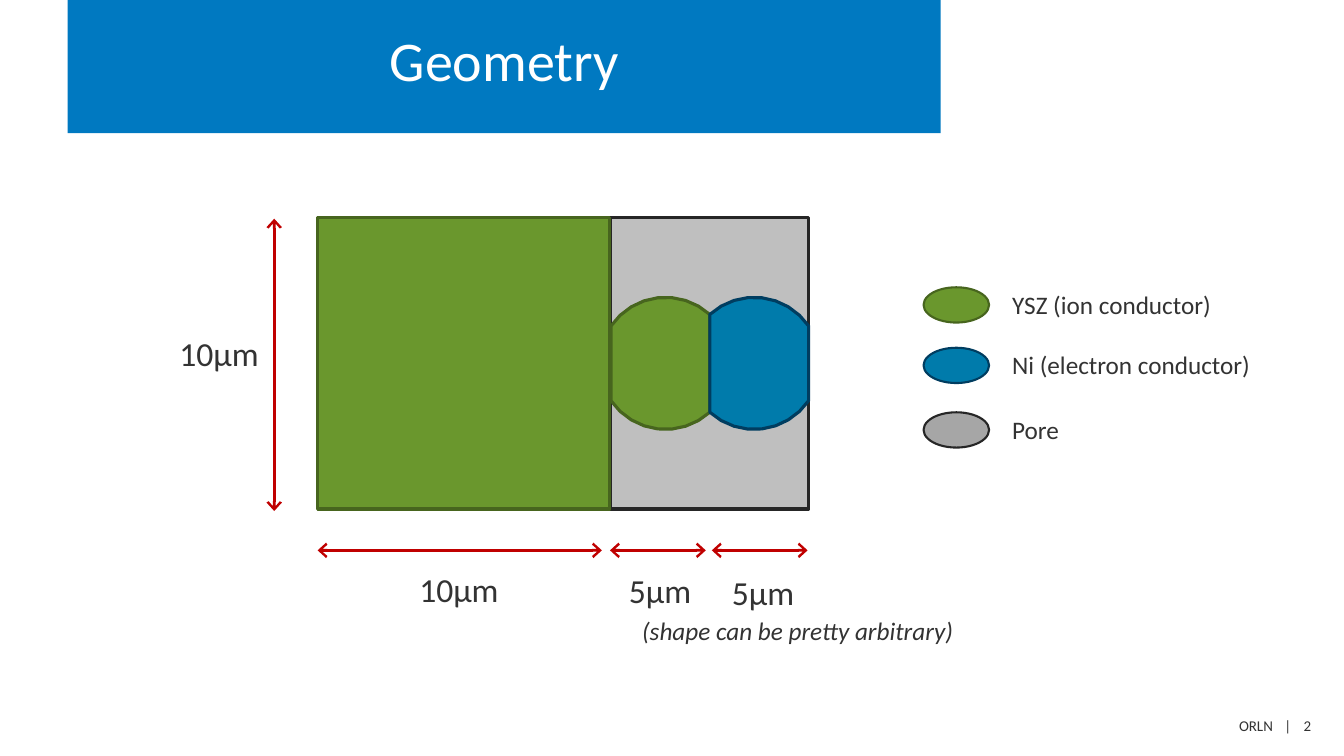
"""Build the Geometry slide: a dimensioned electrode model with its legend."""
from math import acos, cos, sin

from lxml.etree import SubElement
from pptx import Presentation
from pptx.dml.color import RGBColor
from pptx.enum.shapes import MSO_CONNECTOR, MSO_SHAPE
from pptx.enum.text import MSO_ANCHOR, PP_ALIGN
from pptx.oxml.ns import qn
from pptx.util import Inches, Pt

WHITE = RGBColor(0xFF, 0xFF, 0xFF)
TEXT = RGBColor(0x33, 0x33, 0x33)
BANNER = RGBColor(0x00, 0x79, 0xC1)
GREEN = RGBColor(0x6A, 0x97, 0x2D)
DARK_GREEN = RGBColor(0x47, 0x65, 0x1E)
BLUE = RGBColor(0x00, 0x7B, 0xAB)
DARK_BLUE = RGBColor(0x00, 0x3D, 0x60)
LIGHT_GREY = RGBColor(0xBF, 0xBF, 0xBF)
GREY = RGBColor(0xA6, 0xA6, 0xA6)
BLACK = RGBColor(0x26, 0x26, 0x26)
RED = RGBColor(0xC0, 0x00, 0x00)


def paint(shape, fill, outline, weight):
    shape.shadow.inherit = False
    shape.fill.solid()
    shape.fill.fore_color.rgb = fill
    shape.line.color.rgb = outline
    shape.line.width = Pt(weight)


def add_text(words, left, top, width, height, size, italic=False):
    box = page.shapes.add_textbox(Inches(left), Inches(top), Inches(width), Inches(height))
    box.text_frame.word_wrap = True
    para = box.text_frame.paragraphs[0]
    span = para.add_run()
    span.text = words
    span.font.color.rgb = TEXT
    for name, value in {"name": "Calibri", "size": Pt(size), "italic": italic}.items():
        setattr(span.font, name, value)
    return para


deck = Presentation()
deck.slide_width, deck.slide_height = Inches(13.33), Inches(7.5)
page = deck.slides.add_slide(deck.slide_layouts[5])

title = page.shapes.title
placement = {"left": 0.67, "top": 0, "width": 8.66, "height": 1.32}
for name, value in placement.items():
    setattr(title, name, Inches(value))
title.fill.solid()
title.fill.fore_color.rgb = BANNER
title.text_frame.text = "Geometry"
title.text_frame.vertical_anchor = MSO_ANCHOR.MIDDLE
heading = title.text_frame.paragraphs[0]
heading.alignment = PP_ALIGN.CENTER
heading.line_spacing = Pt(37.3)
for name, value in {"name": "Calibri", "size": Pt(40)}.items():
    setattr(heading.runs[0].font, name, value)
heading.runs[0].font.color.rgb = WHITE

for left, width, fill, outline in [
    (6.05, 1.97, LIGHT_GREY, BLACK),
    (3.15, 2.9, GREEN, DARK_GREEN),
]:
    block = page.shapes.add_shape(
        MSO_SHAPE.RECTANGLE, Inches(left), Inches(2.16), Inches(width), Inches(2.89)
    )
    paint(block, fill, outline, 2.25)

radius, middle, steps = 0.655, 3.605, 8
for center, left, right, fill, outline in [
    (6.6, 6.06, 7.04, GREEN, DARK_GREEN),
    (7.48, 7.04, 8.02, BLUE, DARK_BLUE),
]:
    start, end = (acos((side - center) / radius) for side in (left, right))
    angles = [start + (end - start) * step / steps for step in range(steps + 1)]
    angles += [-angle for angle in reversed(angles)]
    rim = [
        (Inches(center + radius * cos(angle)), Inches(middle - radius * sin(angle)))
        for angle in angles
    ]
    builder = page.shapes.build_freeform(*rim[0])
    builder.add_line_segments(rim[1:], close=True)
    paint(builder.convert_to_shape(), fill, outline, 2.25)

for ends in [
    (2.72, 5.07, 2.72, 2.17),
    (3.15, 5.46, 5.97, 5.46),
    (6.05, 5.46, 7, 5.46),
    (7.06, 5.46, 8.01, 5.46),
]:
    arrow = page.shapes.add_connector(MSO_CONNECTOR.STRAIGHT, *map(Inches, ends))
    arrow.line.color.rgb = RED
    arrow.line.width = Pt(2)
    stroke = arrow.line._get_or_add_ln()
    for tip in ("a:headEnd", "a:tailEnd"):
        SubElement(stroke, qn(tip), type="arrow", w="lg", len="med")
    SubElement(arrow._element.spPr, qn("a:effectLst"))

for words, left, top, width in [
    ("10μm", 1.68, 3.25, 1.18),
    ("10μm", 4.06, 5.59, 1.18),
    ("5μm", 6.14, 5.6, 0.84),
    ("5μm", 7.16, 5.62, 0.84),
]:
    add_text(words, left, top, width, 0.5, 24)
add_text("(shape can be pretty arbitrary)", 6.27, 6.06, 3.39, 0.4, 18, italic=True)

for words, top, width, fill, outline in [
    ("YSZ (ion conductor)", 2.85, 2.48, GREEN, DARK_GREEN),
    ("Ni (electron conductor)", 3.45, 2.82, BLUE, DARK_BLUE),
    ("Pore", 4.09, 0.95, GREY, BLACK),
]:
    swatch = page.shapes.add_shape(
        MSO_SHAPE.OVAL, Inches(9.16), Inches(top), Inches(0.65), Inches(0.35)
    )
    paint(swatch, fill, outline, 1.5)
    add_text(words, 9.94, top - 0.03, width, 0.4, 18)

footer = add_text("\tORLN\t|\t2", 9.79, 7.06, 3.32, 0.28, 10.7)
stops = SubElement(footer._p.get_or_add_pPr(), qn("a:tabLst"))
for position in (2.4, 2.85, 3.04):
    SubElement(stops, qn("a:tab"), pos=str(Inches(position)), algn="l")

deck.save("out.pptx")
